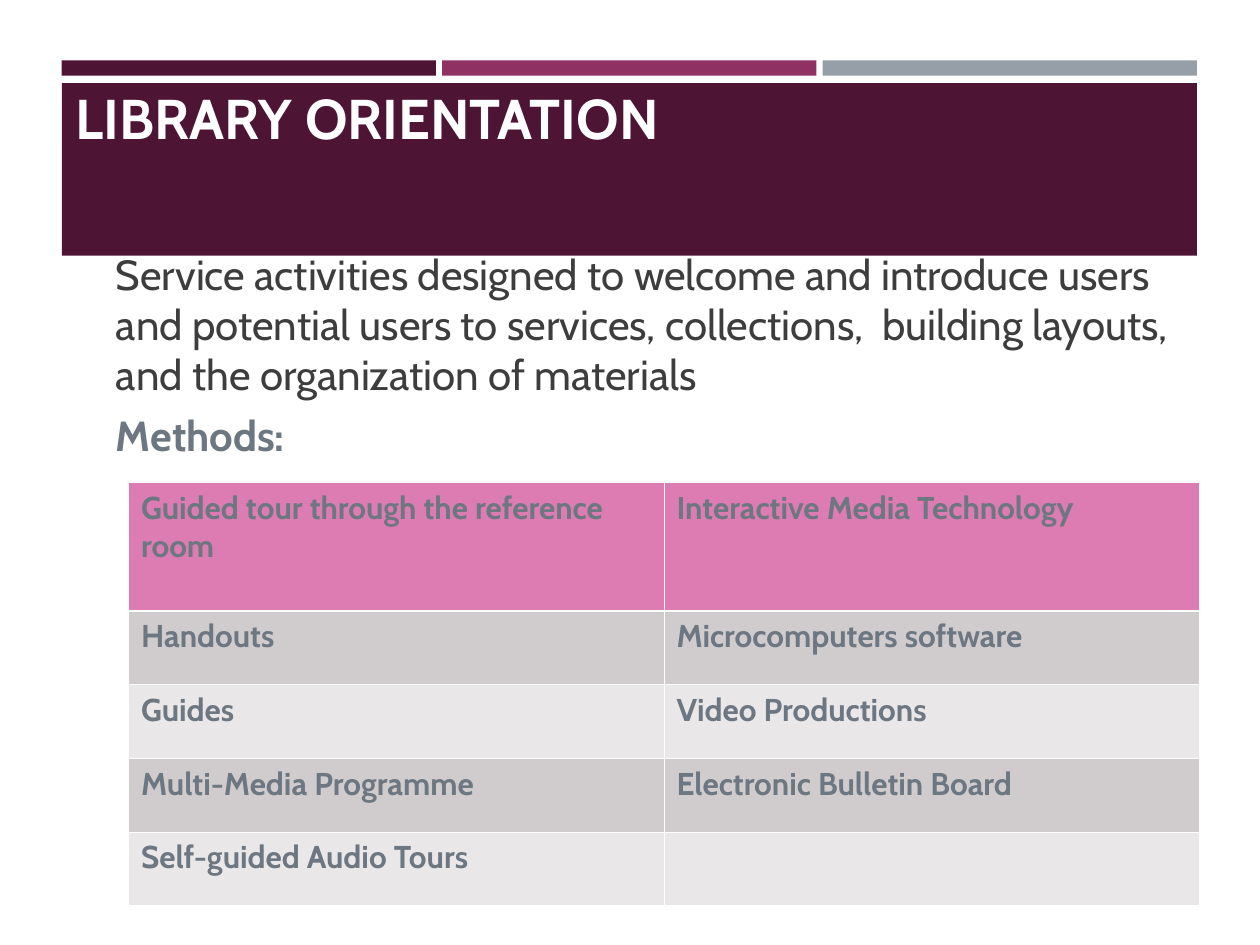
from dataclasses import dataclass

from lxml import etree
from pptx import Presentation
from pptx import util as u
from pptx.dml.color import RGBColor
from pptx.enum import shapes, text
from pptx.oxml import ns


@dataclass(frozen=True)
class Theme:
    font: str = "Cabin"
    plum: str = "4D1434"
    berry: str = "903163"
    steel: str = "969FA7"
    white: str = "FFFFFF"
    ink: str = "3D3D3D"
    slate: str = "6C7781"
    head: str = "DD7CB2"
    bands: tuple = ("D0CCCD", "E9E7E8")
    title: int = 32
    body: int = 24
    cell: int = 18


THEME = Theme()
METHODS = [
    ("Guided tour through the reference room", "Interactive Media Technology"),
    ("Handouts", "Microcomputers software"),
    ("Guides", "Video Productions"),
    ("Multi-Media Programme", "Electronic Bulletin Board"),
    ("Self-guided Audio Tours", ""),
]
INTRO = ("Service activities designed to welcome and introduce users and "
         "potential users to services, collections,  building layouts, "
         "and the organization of materials")


def box(*sizes):
    return [u.Inches(size) for size in sizes]


def style(para, size, color, bold=False):
    font = para.font
    font.name, font.size, font.bold = THEME.font, u.Pt(size), bold
    font.color.rgb = RGBColor.from_string(color)


def add_bar(slide, place, color):
    bar = slide.shapes.add_shape(shapes.MSO_SHAPE.RECTANGLE, *box(*place))
    bar.shadow.inherit = False
    bar.fill.solid()
    bar.fill.fore_color.rgb = RGBColor.from_string(color)
    bar.line.fill.background()


def set_title(slide, words):
    title = slide.shapes.title
    title.left, title.top, title.width, title.height = box(0.5, 0.3, 8.17, 0.95)
    frame = title.text_frame
    frame.text = words
    frame.auto_size = text.MSO_AUTO_SIZE.NONE
    frame.vertical_anchor = text.MSO_ANCHOR.BOTTOM
    para = frame.paragraphs[0]
    para.alignment = text.PP_ALIGN.LEFT
    style(para, THEME.title, THEME.white, True)
    # Bring the title in front of the bars
    title.element.getparent().append(title.element)


def add_body(slide):
    frame = slide.shapes.add_textbox(*box(0.75, 1.62, 8.78, 2.76)).text_frame
    frame.word_wrap = True
    frame.margin_left = u.Inches(0.17)
    # The top margin keeps the first line below the title band
    frame.margin_top = u.Inches(0.35)
    frame.text = f"{INTRO}\nMethods:"
    intro, label = frame.paragraphs
    style(intro, THEME.body, THEME.ink)
    style(label, THEME.body, THEME.slate, True)
    for para in frame.paragraphs:
        para.space_before = u.Pt(6)


def set_edges(cell, **widths):
    props = cell._tc.get_or_add_tcPr()
    for spot, side in enumerate("LRTB"):
        line = etree.Element(ns.qn(f"a:ln{side}"),
                             w=str(u.Pt(widths.get(side, 0.45))))
        fill = etree.SubElement(line, ns.qn("a:solidFill"))
        etree.SubElement(fill, ns.qn("a:srgbClr"), val=THEME.white)
        props.insert(spot, line)


def add_grid(slide, data):
    frame = slide.shapes.add_table(len(data), 2, *box(1.02, 3.83, 8.5, 3.36))
    table = frame.table
    for col in table.columns:
        col.width = u.Inches(4.25)
    for i, words in enumerate(data):
        table.rows[i].height = u.Inches(0.585 if i else 1.02)
        color = THEME.bands[(i - 1) % 2] if i else THEME.head
        # A heavier rule parts the first row from the rest
        heavy = {0: {"B": 1.47}, 1: {"T": 1.47}}.get(i, {})
        for cell, word in zip(table.rows[i].cells, words):
            cell.text = word
            style(cell.text_frame.paragraphs[0], THEME.cell, THEME.slate, True)
            cell.fill.solid()
            cell.fill.fore_color.rgb = RGBColor.from_string(color)
            set_edges(cell, **heavy)


def main():
    deck = Presentation()
    deck.slide_width, deck.slide_height = box(10, 7.5)
    slide = deck.slides.add_slide(deck.slide_layouts[5])

    # Three accent strips above the title band
    for i, color in enumerate((THEME.plum, THEME.berry, THEME.steel)):
        add_bar(slide, (0.49 + 3.02 * i, 0.48, 2.97, 0.12), color)
    add_bar(slide, (0.49, 0.66, 9.01, 1.37), THEME.plum)
    set_title(slide, "LIBRARY ORIENTATION")

    # Definition and methods
    add_body(slide)
    add_grid(slide, METHODS)
    deck.save("out.pptx")


if __name__ == "__main__":
    main()
